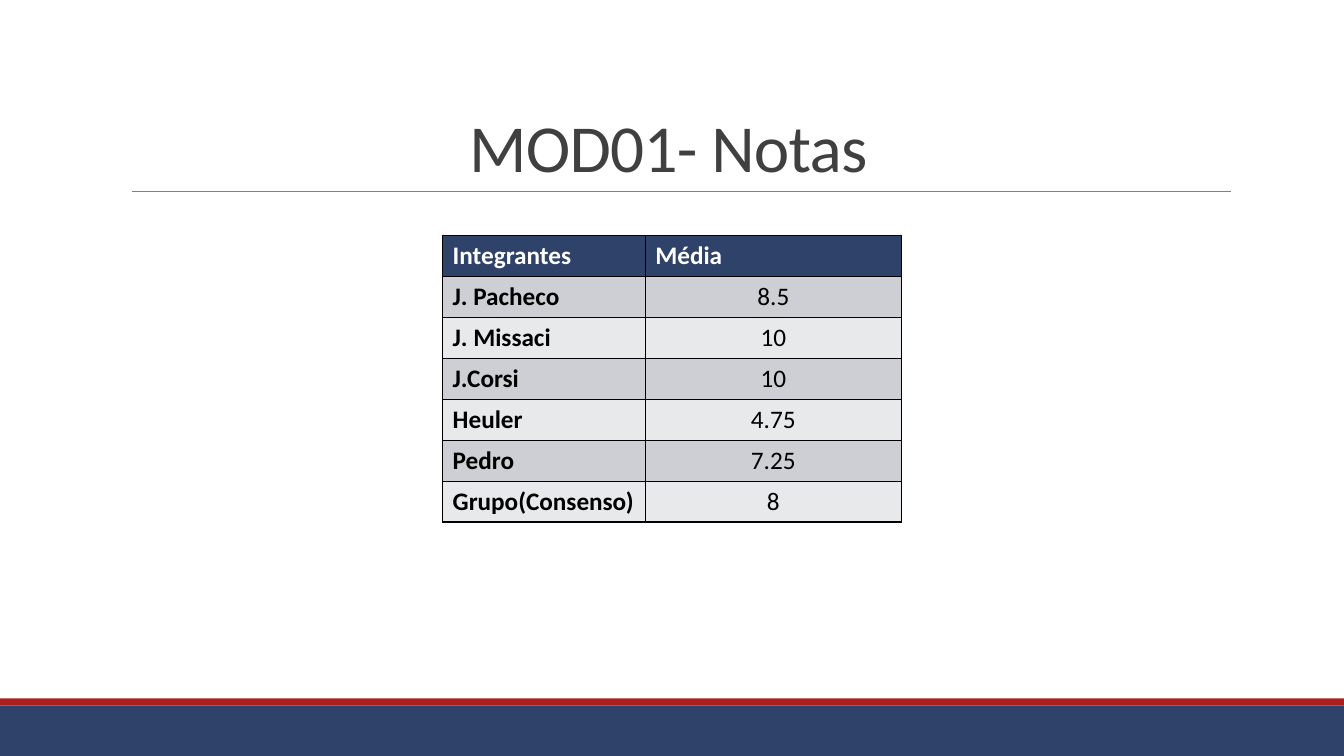
import pptx
import pptx.util
import pptx.dml.color
import pptx.enum.shapes
import pptx.enum.text
import pptx.oxml.ns
from lxml import etree

Inches = pptx.util.Inches
Pt = pptx.util.Pt
ALIGN = pptx.enum.text.PP_ALIGN
ANCHOR = pptx.enum.text.MSO_ANCHOR
qn = pptx.oxml.ns.qn


def color(code):
    return pptx.dml.color.RGBColor.from_string(code)


def write(frame, text, size=18, ink="000000", bold=False, align=ALIGN.LEFT, gap=1.0, track=None):
    para = frame.paragraphs[0]
    para.alignment = align
    para.line_spacing = gap
    run = para.add_run()
    run.text = text
    font = run.font
    font.name = "Calibri"
    font.size = Pt(size)
    font.bold = bold
    font.color.rgb = color(ink)
    if track is not None:
        run._r.get_or_add_rPr().set("spc", str(int(track * 100)))


class Deck:
    navy = "2F426A"
    red = "AD1F1F"
    gray = "808080"
    dark = "404040"
    bands = ("CDCFD4", "E8E9EB")

    def __init__(self):
        self.show = pptx.Presentation()
        self.show.slide_width = Inches(13.33)
        self.show.slide_height = Inches(7.5)
        self.slide = self.show.slides.add_slide(self.show.slide_layouts[5])

    def bar(self, top, height, fill):
        kind = pptx.enum.shapes.MSO_SHAPE.RECTANGLE
        shape = self.slide.shapes.add_shape(
            kind, 0, Inches(top), self.show.slide_width, Inches(height))
        shape.shadow.inherit = False
        shape.fill.solid()
        shape.fill.fore_color.rgb = color(fill)
        shape.line.fill.background()

    def rule(self, left, right, top):
        kind = pptx.enum.shapes.MSO_CONNECTOR.STRAIGHT
        line = self.slide.shapes.add_connector(
            kind, Inches(left), Inches(top), Inches(right), Inches(top))
        line.line.color.rgb = color(self.gray)
        line.line.width = Pt(0.5)
        etree.SubElement(line._element.spPr, qn("a:effectLst"))

    def title(self, text, left, top, width, height):
        shape = self.slide.shapes.title
        shape.left, shape.top = Inches(left), Inches(top)
        shape.width, shape.height = Inches(width), Inches(height)
        frame = shape.text_frame
        frame.auto_size = pptx.enum.text.MSO_AUTO_SIZE.NONE
        frame.word_wrap = True
        frame.vertical_anchor = ANCHOR.BOTTOM
        write(frame, text, size=48, ink=self.dark, align=ALIGN.CENTER, gap=0.85, track=-0.5)

    def border(self, cell):
        props = cell._tc.get_or_add_tcPr()
        for place, side in enumerate(("lnL", "lnR", "lnT", "lnB")):
            edge = etree.Element(qn("a:" + side), w=str(Pt(1)))
            fill = etree.SubElement(edge, qn("a:solidFill"))
            etree.SubElement(fill, qn("a:srgbClr"), val="000000")
            props.insert(place, edge)

    def table(self, rows, left, top, widths, height):
        frame = self.slide.shapes.add_table(
            len(rows), len(widths), Inches(left), Inches(top),
            Inches(sum(widths)), Inches(height))
        grid = frame.table
        for col, width in zip(grid.columns, widths):
            col.width = Inches(width)
        for r, row in enumerate(rows):
            head = r == 0
            for c, text in enumerate(row):
                cell = grid.cell(r, c)
                cell.fill.solid()
                cell.fill.fore_color.rgb = color(self.navy if head else self.bands[(r - 1) % 2])
                self.border(cell)
                write(cell.text_frame, text,
                      ink="FFFFFF" if head else "000000",
                      bold=head or c == 0,
                      align=ALIGN.LEFT if head or c == 0 else ALIGN.CENTER)


def main():
    deck = Deck()
    deck.bar(7, 0.5, deck.navy)
    deck.bar(6.93, 0.07, deck.red)
    deck.rule(1.31, 12.21, 1.9)
    deck.title("MOD01- Notas ", 1.2, 0.31, 11, 1.59)
    grades = [
        ("Integrantes", "Média"),
        ("J. Pacheco", "8.5"),
        ("J. Missaci", "10"),
        ("J.Corsi", "10"),
        ("Heuler", "4.75"),
        ("Pedro", "7.25"),
        ("Grupo(Consenso)", "8"),
    ]
    deck.table(grades, 4.39, 2.34, (2.01, 2.54), 2.83)
    deck.show.save("out.pptx")


if __name__ == "__main__":
    main()
